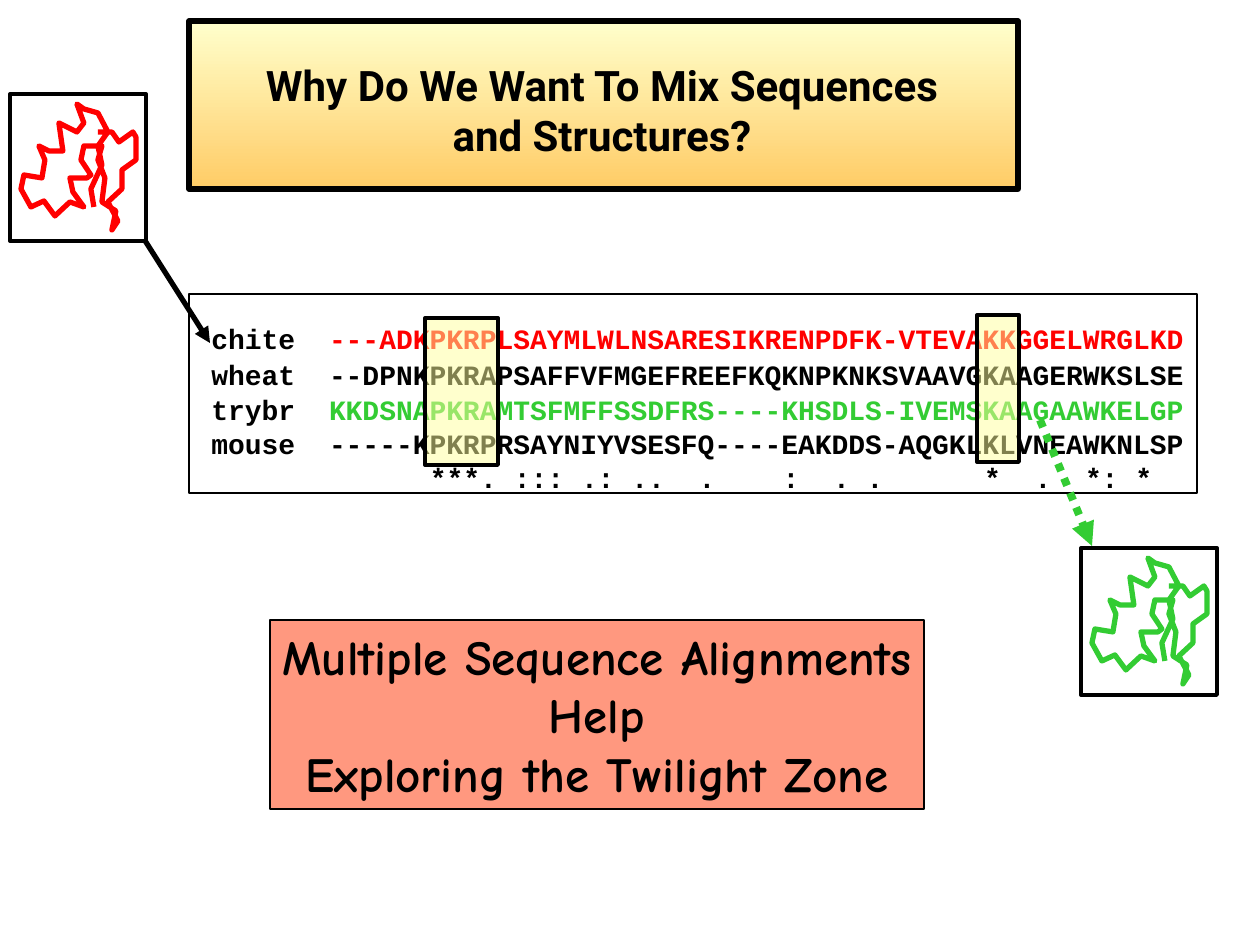
from lxml.etree import SubElement
from pptx import Presentation
from pptx.dml.color import RGBColor
from pptx.enum.dml import MSO_LINE
from pptx.enum.shapes import MSO_CONNECTOR, MSO_SHAPE
from pptx.enum.text import MSO_ANCHOR, PP_ALIGN
from pptx.oxml.ns import qn
from pptx.util import Pt

PX = 914400 / 126
BLACK, RED, GREEN = "000000", "FF0000", "33CC33"
CHAR_WIDTH = 16.8
SEQUENCE_COLUMN = 7

TITLE = "Why Do We Want To Mix Sequences and Structures?"
TITLE_PANEL = (189, 21, 829, 168)
TITLE_BOX = (221, 53, 762, 113)
TITLE_GRADIENT = ["FFFFCC", "FFCC66"]

SEQUENCES = [
    ("chite", "---ADKPKRPLSAYMLWLNSARESIKRENPDFK-VTEVAKKGGELWRGLKD", RED),
    ("wheat", "--DPNKPKRAPSAFFVFMGEFREEFKQKNPKNKSVAAVGKAAGERWKSLSE", BLACK),
    ("trybr", "KKDSNAPKRAMTSFMFFSSDFRS----KHSDLS-IVEMSKAAGAAWKELGP", GREEN),
    ("mouse", "-----KPKRPRSAYNIYVSESFQ----EAKDDS-AQGKLKLVNEAWKNLSP", BLACK),
]
CONSERVATION = [
    (13, "***."), (18, ":::"), (22, ".:"), (25, ".."), (29, "."), (34, ":"),
    (37, "."), (39, "."), (46, "*"), (49, "."), (52, "*:"), (55, "*"),
]
ALIGNMENT_BOX = (199, 315, 1281, 252)
ALIGNMENT_FRAME = (189, 294, 1008, 199)
CONSERVED_BLOCKS = [(425, 318, 73, 147), (977, 315, 42, 147)]

MESSAGE = ["Multiple Sequence Alignments", "Help", "Exploring the Twilight Zone"]
MESSAGE_PANEL = (270, 620, 654, 189)

FOLD_SIZE = (136, 147)
FOLD_TRACE = [
    (84, 113), (81, 95), (92, 71), (88, 52), (98, 38), (88, 19), (74, 15),
    (67, 10), (74, 29), (67, 38), (49, 29), (53, 57), (39, 57), (29, 52),
    (35, 66), (32, 84), (14, 81), (11, 95), (21, 113), (34, 107), (45, 122),
    (60, 108), (74, 113), (63, 98), (60, 84), (77, 84), (81, 81), (71, 66),
    (74, 52), (92, 52), (88, 66), (95, 84), (92, 108), (106, 117), (102, 136),
    (108, 127), (98, 108), (112, 95), (112, 76), (126, 66), (126, 43),
    (123, 38), (109, 48), (102, 38), (88, 38),
]
STRUCTURES = [
    dict(corner=(1081, 548), color=GREEN, arrow=(1040, 420, 1092, 546),
         arrow_color=GREEN, arrow_width=4.5, dash=MSO_LINE.ROUND_DOT),
    dict(corner=(10, 94), color=RED, arrow=(144, 239, 210, 343),
         arrow_color=BLACK, arrow_width=3, dash=None),
]


def emu(*lengths):
    return [round(length * PX) for length in lengths]


def rgb(code):
    return RGBColor.from_string(code)


def set_line(line, color, width):
    line.color.rgb = rgb(color)
    line.width = Pt(width)


def add_panel(shapes, area, width, fill=None):
    panel = shapes.add_shape(MSO_SHAPE.RECTANGLE, *emu(*area))
    panel.shadow.inherit = False
    set_line(panel.line, BLACK, width)
    if fill:
        panel.fill.solid()
        panel.fill.fore_color.rgb = rgb(fill)
        tint = panel.fill._xPr.find(qn("a:solidFill"))[0]
        SubElement(tint, qn("a:alpha"), val="50000")
    else:
        panel.fill.background()
    return panel


def add_run(paragraph, text, font, size, color=BLACK):
    run = paragraph.add_run()
    run.text = text
    run.font.name, run.font.size, run.font.bold = font, Pt(size), True
    run.font.color.rgb = rgb(color)


def set_tabs(paragraph, columns):
    tabs = SubElement(paragraph._p.get_or_add_pPr(), qn("a:tabLst"))
    for column in columns:
        position = emu(column * CHAR_WIDTH)[0]
        SubElement(tabs, qn("a:tab"), pos=str(position), algn="l")


def add_paragraphs(frame, count):
    return [frame.paragraphs[0]] + [frame.add_paragraph() for _ in range(count - 1)]


def add_title(shapes):
    panel = add_panel(shapes, TITLE_PANEL, 3)
    panel.fill.gradient()
    panel.fill.gradient_angle = 270
    for stop, color in zip(panel.fill.gradient_stops, TITLE_GRADIENT):
        stop.color.rgb = rgb(color)
    frame = shapes.add_textbox(*emu(*TITLE_BOX)).text_frame
    frame.word_wrap = True
    frame.paragraphs[0].alignment = PP_ALIGN.CENTER
    add_run(frame.paragraphs[0], TITLE, "Roboto", 24)


def add_alignment(shapes):
    frame = shapes.add_textbox(*emu(*ALIGNMENT_BOX)).text_frame
    frame.word_wrap = True
    *rows, marks_row = add_paragraphs(frame, len(SEQUENCES) + 1)
    for row in [*rows[1:], marks_row]:
        row.line_spacing = 0.5
        row.space_before = Pt(10)
    for row, (name, sequence, color) in zip(rows, SEQUENCES):
        set_tabs(row, [SEQUENCE_COLUMN])
        add_run(row, name + "\t", "Courier New", 16)
        add_run(row, sequence, "Courier New", 16, color)
    set_tabs(marks_row, [column for column, _ in CONSERVATION])
    marks = "".join("\t" + mark for _, mark in CONSERVATION)
    add_run(marks_row, marks, "Courier New", 16)


def add_message(shapes):
    frame = add_panel(shapes, MESSAGE_PANEL, 0.75, "FF3300").text_frame
    frame.word_wrap = False
    frame.vertical_anchor = MSO_ANCHOR.TOP
    for paragraph, text in zip(add_paragraphs(frame, len(MESSAGE)), MESSAGE):
        paragraph.alignment = PP_ALIGN.CENTER
        add_run(paragraph, text, "Comic Neue", 28)


def add_structure(shapes, corner, color, arrow, arrow_color, arrow_width, dash):
    pointer = shapes.add_connector(MSO_CONNECTOR.STRAIGHT, *emu(*arrow))
    set_line(pointer.line, arrow_color, arrow_width)
    if dash:
        pointer.line.dash_style = dash
    SubElement(pointer.line._get_or_add_ln(), qn("a:tailEnd"), type="triangle")
    SubElement(pointer._element.spPr, qn("a:effectLst"))

    left, top = corner
    points = [emu(left + x, top + y) for x, y in FOLD_TRACE]
    builder = shapes.build_freeform(*points[0])
    builder.add_line_segments(points[1:], close=False)
    fold = builder.convert_to_shape()
    fold.shadow.inherit = False
    fold.fill.background()
    set_line(fold.line, color, 3)
    add_panel(shapes, corner + FOLD_SIZE, 2.25)


def main():
    """Build the slide on mixing sequences and structures."""
    deck = Presentation()
    deck.slide_width, deck.slide_height = emu(1260, 945)
    shapes = deck.slides.add_slide(deck.slide_layouts[6]).shapes
    add_title(shapes)
    add_alignment(shapes)
    add_message(shapes)
    for block in CONSERVED_BLOCKS:
        add_panel(shapes, block, 2.25, "FFFF9D")
    add_panel(shapes, ALIGNMENT_FRAME, 1)
    for structure in STRUCTURES:
        add_structure(shapes.add_group_shape().shapes, **structure)
    deck.save("out.pptx")


if __name__ == "__main__":
    main()
